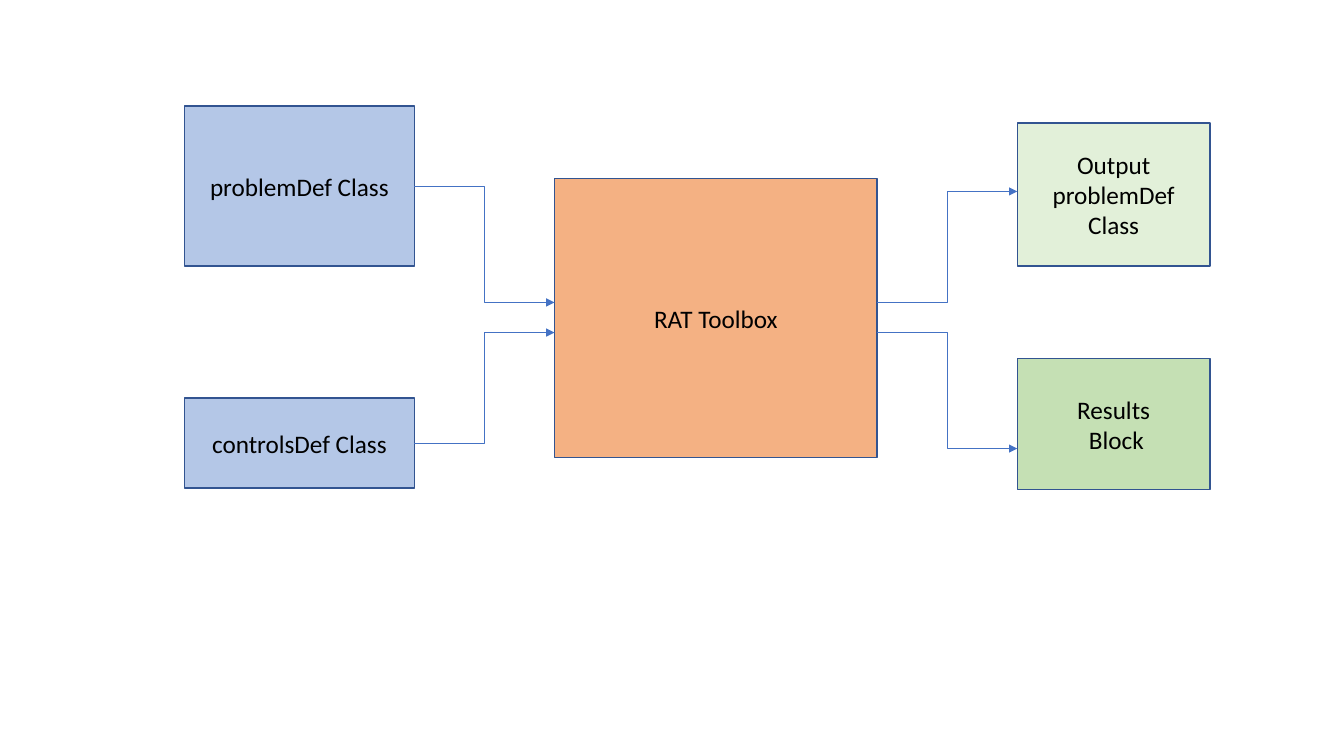
import pptx
import pptx.util
import pptx.dml.color
import pptx.enum.shapes
import pptx.enum.text
import pptx.oxml
import pptx.oxml.ns

Inches = pptx.util.Inches
Pt = pptx.util.Pt
RGBColor = pptx.dml.color.RGBColor

BLUE = RGBColor(0xB4, 0xC7, 0xE7)
ORANGE = RGBColor(0xF4, 0xB1, 0x83)
PALE = RGBColor(0xE2, 0xF0, 0xD9)
GREEN = RGBColor(0xC5, 0xE0, 0xB4)
EDGE = RGBColor(0x32, 0x54, 0x91)
ARROW = RGBColor(0x44, 0x72, 0xC4)
BLACK = RGBColor(0, 0, 0)

# Column edges and the two levels where arrows meet the toolbox
IN_X, IN_W = 1.83, 2.28
BOX_X, BOX_W = 5.5, 3.2
OUT_X, OUT_W = 10.09, 1.91
UPPER, LOWER = 3.0, 3.3


def add_box(slide, left, top, width, height, fill, lines):
    """Draw a filled box with one centred paragraph per line."""
    box = slide.shapes.add_shape(
        pptx.enum.shapes.MSO_SHAPE.RECTANGLE,
        Inches(left), Inches(top), Inches(width), Inches(height))
    box.shadow.inherit = False
    box.fill.solid()
    box.fill.fore_color.rgb = fill
    box.line.color.rgb = EDGE
    box.line.width = Pt(1)
    frame = box.text_frame
    frame.word_wrap = True
    frame.vertical_anchor = pptx.enum.text.MSO_ANCHOR.MIDDLE
    for i, line in enumerate(lines):
        para = frame.add_paragraph() if i else frame.paragraphs[0]
        para.alignment = pptx.enum.text.PP_ALIGN.CENTER
        run = para.add_run()
        run.text = line
        run.font.name = "Calibri"
        run.font.size = Pt(18)
        run.font.color.rgb = BLACK


def add_arrow(slide, x1, y1, x2, y2):
    """Draw an elbow connector with a triangle at its end."""
    link = slide.shapes.add_connector(
        pptx.enum.shapes.MSO_CONNECTOR.ELBOW,
        Inches(x1), Inches(y1), Inches(x2), Inches(y2))
    link.line.color.rgb = ARROW
    link.line.width = Pt(0.5)
    qn = pptx.oxml.ns.qn
    props = link.element.spPr
    head = props.find(qn("a:ln")).makeelement(
        qn("a:tailEnd"), {"type": "triangle"})
    props.find(qn("a:ln")).append(head)
    props.append(props.makeelement(qn("a:effectLst"), {}))


def main():
    deck = pptx.Presentation()
    deck.slide_width = Inches(13.33)
    deck.slide_height = Inches(7.5)
    slide = deck.slides.add_slide(deck.slide_layouts[6])

    # Inputs, toolbox and outputs
    add_box(slide, IN_X, 1.05, IN_W, 1.59, BLUE, ["problemDef Class"])
    add_box(slide, IN_X, 3.95, IN_W, 0.89, BLUE, ["controlsDef Class"])
    add_box(slide, BOX_X, 1.77, BOX_W, 2.77, ORANGE, ["RAT Toolbox"])
    add_box(slide, OUT_X, 1.22, OUT_W, 1.42, PALE,
            ["Output problemDef Class"])
    add_box(slide, OUT_X, 3.56, OUT_W, 1.3, GREEN, ["Results", " Block"])

    # Arrows into and out of the toolbox
    for start, level, end in ((1.85, UPPER, 1.9), (4.4, LOWER, 4.45)):
        add_arrow(slide, IN_X + IN_W, start, BOX_X, level)
        add_arrow(slide, BOX_X + BOX_W, level, OUT_X, end)

    deck.save("out.pptx")


main()
